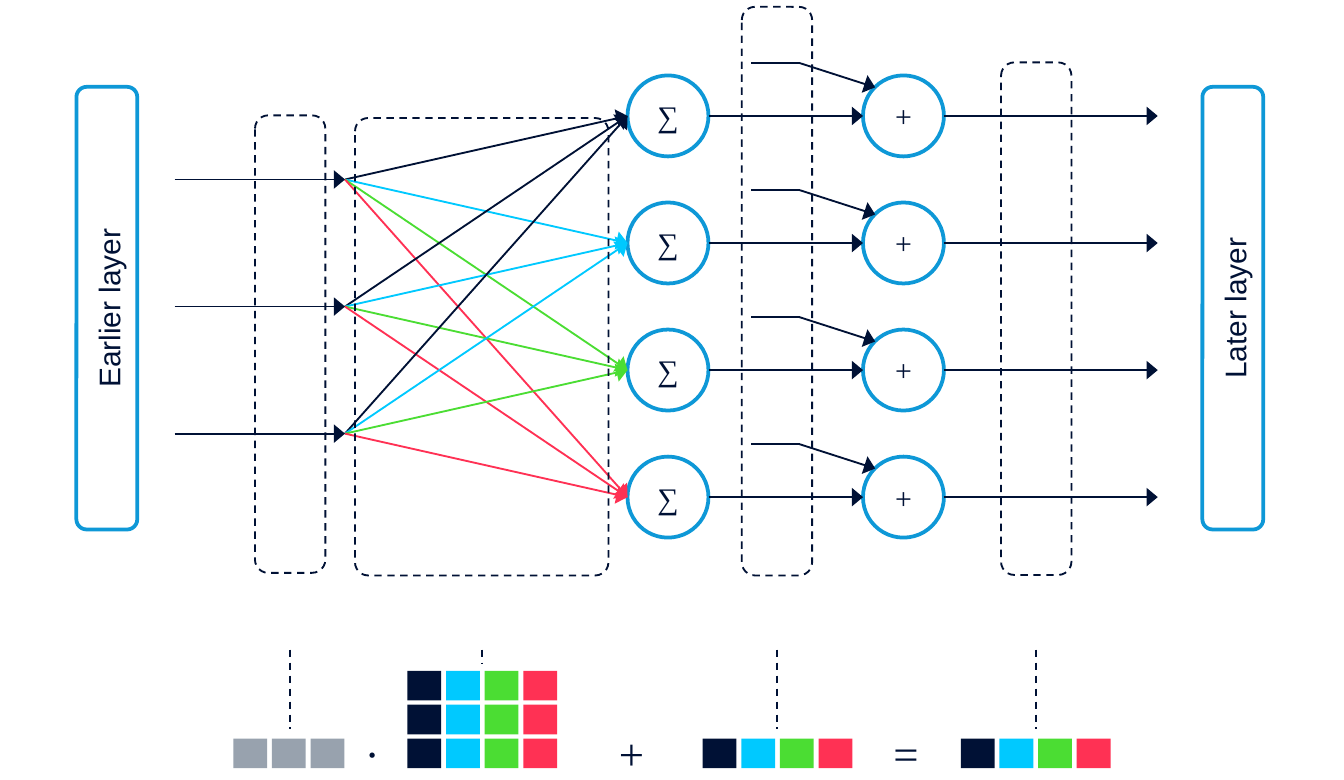
from pptx import Presentation
from pptx.dml.color import RGBColor
from pptx.enum.dml import MSO_LINE
from pptx.enum.shapes import MSO_CONNECTOR, MSO_SHAPE
from pptx.enum.text import MSO_ANCHOR, PP_ALIGN
from pptx.oxml.ns import qn
from pptx.util import Cm, Pt
from lxml import etree

NAVY = RGBColor(0x00, 0x11, 0x35)
CYAN = RGBColor(0x00, 0xC9, 0xFF)
GREEN = RGBColor(0x4B, 0xDD, 0x33)
RED = RGBColor(0xFF, 0x31, 0x54)
BLUE = RGBColor(0x0E, 0x98, 0xD7)
GRAY = RGBColor(0x98, 0xA2, 0xAE)
WHITE = RGBColor(0xFF, 0xFF, 0xFF)
NEURON_COLORS = [NAVY, CYAN, GREEN, RED]

# All positions in centimetres
CM_PER_INCH = 2.54
ROW_GAP = 2.4
NEURON_YS = [2.19 + i * ROW_GAP for i in range(4)]
INPUT_YS = [3.39 + i * ROW_GAP for i in range(3)]
INPUT_X, FAN_X = 3.3, 6.52
SUM_X, PLUS_X, OUTPUT_X = 11.86, 16.31, 21.88
DIAMETER = 1.53
CELL_W, CELL_H = 0.64, 0.56
CELL_GAP_X, CELL_GAP_Y = 0.73, 0.64
VECTOR_Y = 13.95
LEADER_Y = 12.27


def set_text(sp, text, size, font="Times New Roman", anchor=MSO_ANCHOR.MIDDLE, inset=0):
    tf = sp.text_frame
    margins = ("margin_left", "margin_top", "margin_right", "margin_bottom")
    settings = {"word_wrap": True, "vertical_anchor": anchor}
    settings.update({name: Cm(inset) for name in margins})
    for name, value in settings.items():
        setattr(tf, name, value)
    p = tf.paragraphs[0]
    p.alignment = PP_ALIGN.CENTER
    p.space_after = Pt(3)
    r = p.add_run()
    r.text = text
    for name, value in {"size": Pt(size), "name": font}.items():
        setattr(r.font, name, value)
    r.font.color.rgb = NAVY


def add_box(shapes, kind, x, y, w, h, fill=None, line=None, width=1, radius=None):
    sp = shapes.add_shape(kind, Cm(x), Cm(y), Cm(w), Cm(h))
    sp.shadow.inherit = False
    if fill is None:
        sp.fill.background()
    else:
        sp.fill.solid()
        sp.fill.fore_color.rgb = fill
    if line is None:
        sp.line.fill.background()
    else:
        sp.line.color.rgb = line
        sp.line.width = Pt(width)
    if radius:
        sp.adjustments[0] = radius / min(w, h)
    return sp


def add_line(s, x1, y1, x2, y2, color=NAVY, arrow=True, dashed=False):
    cxn = s.shapes.add_connector(MSO_CONNECTOR.STRAIGHT, Cm(x1), Cm(y1), Cm(x2), Cm(y2))
    cxn.line.color.rgb = color
    cxn.line.width = Pt(1)
    if dashed:
        cxn.line.dash_style = MSO_LINE.DASH
    spPr = cxn._element.spPr
    if arrow:
        etree.SubElement(spPr.get_or_add_ln(), qn("a:tailEnd"),
                         type="triangle", w="lg", len="med")
    etree.SubElement(spPr, qn("a:effectLst"))


def add_node(s, x, center_y, symbol):
    sp = add_box(s.shapes, MSO_SHAPE.OVAL, x, center_y - DIAMETER / 2,
                 DIAMETER, DIAMETER, WHITE, BLUE, 2)
    set_text(sp, symbol, 16)


def add_neuron(s, y):
    """One row: sum, bias, addition and output."""
    add_node(s, SUM_X, y, "∑")
    add_node(s, PLUS_X, y, "+")
    add_line(s, SUM_X + DIAMETER, y, PLUS_X, y)
    add_line(s, 15.11, y - 1, 14.2, y - 1, arrow=False)
    add_line(s, 15.11, y - 1, 16.54, y - 0.54)
    add_line(s, PLUS_X + DIAMETER, y, OUTPUT_X, y)


def add_layer(s, text, center_x):
    length, thickness = 8.36, 1.15
    sp = add_box(s.shapes, MSO_SHAPE.ROUNDED_RECTANGLE, center_x - length / 2,
                 5.82 - thickness / 2, length, thickness, WHITE, BLUE, 2)
    sp.rotation = 270
    set_text(sp, text, 16, "Arial", MSO_ANCHOR.BOTTOM, 0.15)


def add_frame(s, x, y, w, h):
    sp = add_box(s.shapes, MSO_SHAPE.ROUNDED_RECTANGLE, x, y, w, h, line=NAVY, radius=0.25)
    sp.line.dash_style = MSO_LINE.DASH


def add_cells(s, x, colors, rows=1):
    """Grid of coloured cells whose last row stands on the vector row."""
    group = s.shapes.add_group_shape()
    for col, color in enumerate(colors):
        for row in range(rows):
            add_box(group.shapes, MSO_SHAPE.RECTANGLE, x + col * CELL_GAP_X,
                    VECTOR_Y - row * CELL_GAP_Y, CELL_W, CELL_H, color)


def add_operator(s, x, symbol):
    sp = s.shapes.add_textbox(Cm(x), Cm(13.93), Cm(0.91), Cm(0.58))
    set_text(sp, symbol, 24)


def main():
    prs = Presentation()
    prs.slide_width, prs.slide_height = Cm(10 * CM_PER_INCH), Cm(5.8 * CM_PER_INCH)
    s = prs.slides.add_slide(prs.slide_layouts[6])

    for y in NEURON_YS:
        add_neuron(s, y)
    for input_y in INPUT_YS:
        for y, color in zip(NEURON_YS, NEURON_COLORS):
            add_line(s, FAN_X, input_y, SUM_X, y, color)
        add_line(s, INPUT_X, input_y, FAN_X, input_y)

    for frame in [(4.82, 2.18, 1.33, 8.64), (6.71, 2.23, 4.79, 8.64),
                  (14.02, 0.13, 1.33, 10.74), (18.92, 1.18, 1.33, 9.68)]:
        add_frame(s, *frame)
    for x, symbol in [(6.58, "∙"), (11.48, "+"), (16.67, "=")]:
        add_operator(s, x, symbol)
    for x, end_y in [(5.48, 13.77), (9.11, 12.55), (14.69, 13.77), (19.58, 13.77)]:
        add_line(s, x, LEADER_Y, x, end_y, arrow=False, dashed=True)

    add_cells(s, 4.41, [GRAY] * 3)
    add_cells(s, 7.7, NEURON_COLORS, rows=3)
    add_cells(s, 13.28, NEURON_COLORS)
    add_cells(s, 18.16, NEURON_COLORS)

    add_layer(s, "Earlier layer", 2.02)
    add_layer(s, "Later layer", 23.3)
    prs.save("out.pptx")


if __name__ == "__main__":
    main()
